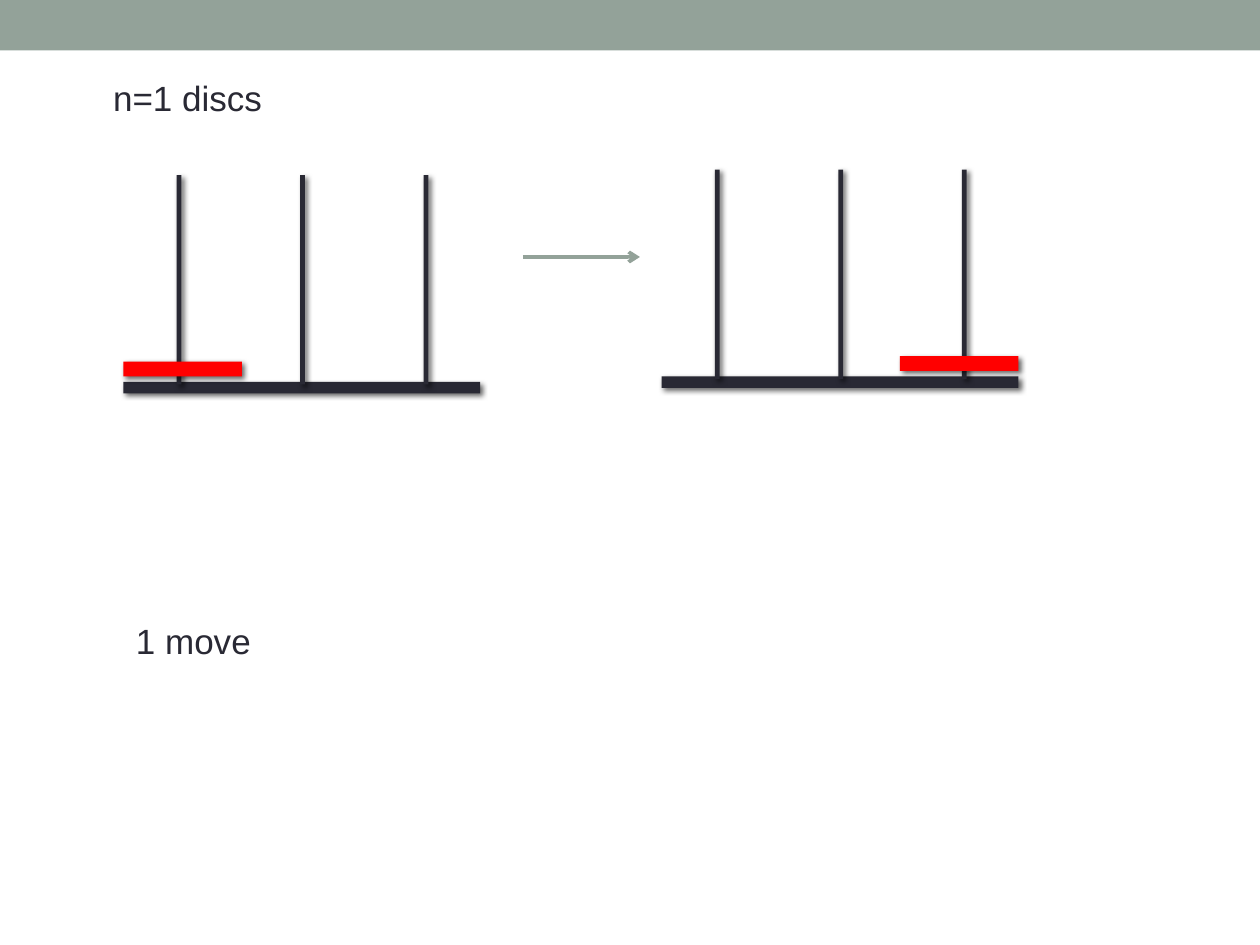
from lxml.etree import SubElement
from pptx import Presentation
from pptx.dml.color import RGBColor
from pptx.enum.shapes import MSO_CONNECTOR, MSO_SHAPE
from pptx.enum.text import MSO_AUTO_SIZE
from pptx.oxml import parse_xml
from pptx.oxml.ns import nsdecls, qn
from pptx.util import Cm, Pt

SAGE = RGBColor(0x93, 0xA2, 0x99)
DARK = RGBColor(0x29, 0x29, 0x34)
RED = RGBColor(0xFF, 0x00, 0x00)

BASE_WIDTH, BASE_HEIGHT = 7.19, 0.23
PEG_WIDTH, PEG_HEIGHT = 0.1, 4.22
PEG_INSET, PEG_PITCH, PEG_RISE = 1.07, 2.49, 4.17
DISC_WIDTH, DISC_HEIGHT, DISC_RISE = 2.39, 0.3, 0.41

SHADOW = (
    f'<a:outerShdw {nsdecls("a")} blurRad="38100" dist="25400" dir="2700000" rotWithShape="0">'
    '<a:srgbClr val="000000"><a:alpha val="60000"/></a:srgbClr></a:outerShdw>'
)


def add_bar(shapes, left, top, width, height, color, shadowed=True):
    """Add a borderless filled rectangle, measured in centimetres."""
    shape = shapes.add_shape(
        MSO_SHAPE.RECTANGLE, Cm(left), Cm(top), Cm(width), Cm(height)
    )
    shape.fill.solid()
    shape.fill.fore_color.rgb = color
    shape.line.fill.background()
    shape.shadow.inherit = False
    if shadowed:
        effects = shape._element.spPr.find(qn("a:effectLst"))
        effects.append(parse_xml(SHADOW))


presentation = Presentation()
presentation.slide_width = Cm(25.4)
presentation.slide_height = Cm(19.05)
slide = presentation.slides.add_slide(presentation.slide_layouts[6])

add_bar(slide.shapes, 0, 0, 25.4, 1.02, SAGE, shadowed=False)

# Towers before and after the move: base left, base top, peg holding the disc
for left, top, disc_offset in [
    (2.49, 7.7, 0),
    (13.34, 7.59, BASE_WIDTH - DISC_WIDTH),
]:
    tower = slide.shapes.add_group_shape()
    add_bar(tower.shapes, left, top, BASE_WIDTH, BASE_HEIGHT, DARK)
    for peg in range(3):
        peg_left = left + PEG_INSET + peg * PEG_PITCH
        add_bar(tower.shapes, peg_left, top - PEG_RISE, PEG_WIDTH, PEG_HEIGHT, DARK)
    add_bar(
        slide.shapes, left + disc_offset, top - DISC_RISE, DISC_WIDTH, DISC_HEIGHT, RED
    )

arrow = slide.shapes.add_connector(
    MSO_CONNECTOR.STRAIGHT, Cm(10.54), Cm(5.18), Cm(12.9), Cm(5.18)
)
arrow.line.color.rgb = SAGE
arrow.line.width = Pt(2.08)
SubElement(arrow.line._get_or_add_ln(), qn("a:tailEnd"), type="arrow")
SubElement(arrow._element.spPr, qn("a:effectLst"))

font_format = {"name": "Arial", "size": Pt(20)}
for text, left, top, width in [
    ("n=1 discs", 2.03, 1.42, 9.22),
    ("1 move", 2.49, 12.37, 8.08),
]:
    label = slide.shapes.add_textbox(Cm(left), Cm(top), Cm(width), Cm(1.12))
    label.text_frame.word_wrap = True
    label.text_frame.auto_size = MSO_AUTO_SIZE.SHAPE_TO_FIT_TEXT
    paragraph = label.text_frame.paragraphs[0]
    run = paragraph.add_run()
    run.text = text
    run.font.color.rgb = DARK
    for attribute, value in font_format.items():
        setattr(run.font, attribute, value)

presentation.save("out.pptx")
